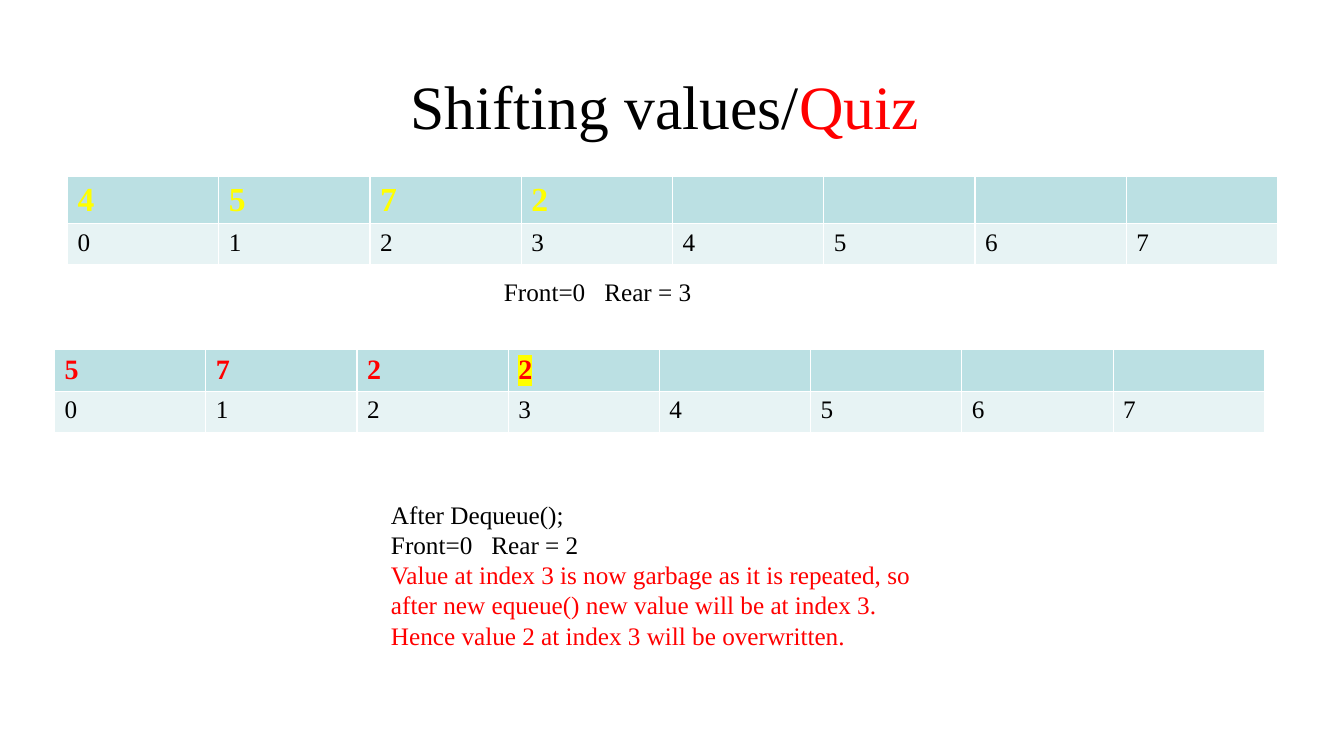
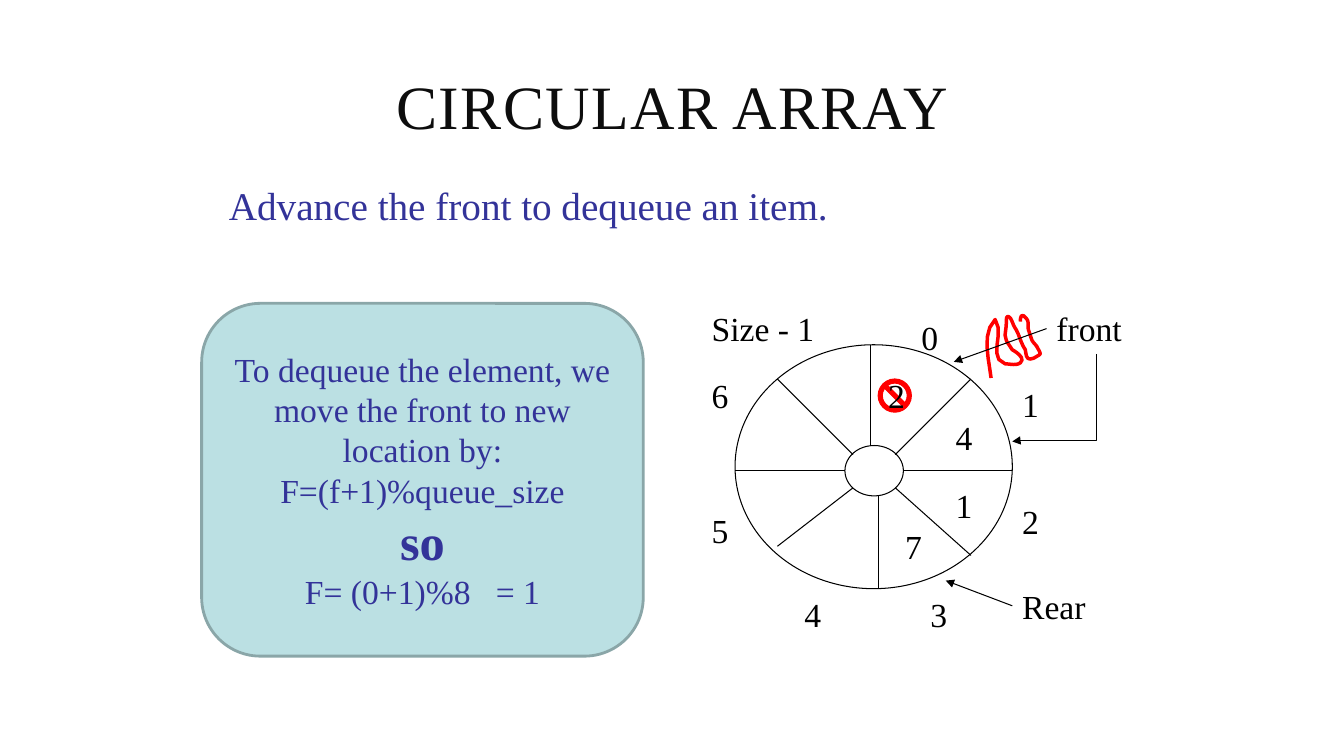
from dataclasses import dataclass

from lxml import etree
from pptx import Presentation
from pptx.dml.color import RGBColor
from pptx.enum.shapes import MSO_CONNECTOR, MSO_SHAPE
from pptx.enum.text import MSO_ANCHOR, MSO_AUTO_SIZE, PP_ALIGN
from pptx.oxml.ns import qn
from pptx.util import Inches, Pt

ELLIPSE, ROUNDED, NO_SIGN = MSO_SHAPE.OVAL, MSO_SHAPE.ROUNDED_RECTANGLE, MSO_SHAPE.NO_SYMBOL
STRAIGHT, ELBOW = MSO_CONNECTOR.STRAIGHT, MSO_CONNECTOR.ELBOW
MIDDLE, LEFT, CENTER = MSO_ANCHOR.MIDDLE, PP_ALIGN.LEFT, PP_ALIGN.CENTER
FIXED, GROW = MSO_AUTO_SIZE.NONE, MSO_AUTO_SIZE.SHAPE_TO_FIT_TEXT
TITLE_AND_BODY, TITLE_ONLY = 1, 5
LEFT_SIDE = 1


@dataclass(frozen=True)
class Theme:
    font: str = "Times New Roman"
    black: str = "000000"
    soft_black: str = "0D0D0D"
    white: str = "FFFFFF"
    red: str = "FF0000"
    yellow: str = "FFFF00"
    indigo: str = "333399"
    teal: str = "BBE0E3"
    pale_teal: str = "E7F3F4"
    teal_edge: str = "8AA6A8"
    title: int = 44
    emphasis: int = 36
    lead: int = 28
    label: int = 24
    value: int = 20
    text: int = 18
    hairline: float = 0.75


THEME = Theme()


@dataclass(frozen=True)
class Line:
    """One paragraph; a tab in its text stands for a wide gap."""
    text: str
    size: int = THEME.text
    color: str = THEME.black
    bold: bool = False


def rgb(color):
    return RGBColor.from_string(color)


def box(*lengths):
    return [Inches(length) for length in lengths]


def set_spacing(run, points):
    run._r.get_or_add_rPr().set("spc", str(round(points * 100)))


def write(frame, lines, align=LEFT):
    for number, line in enumerate(lines):
        paragraph = frame.add_paragraph() if number else frame.paragraphs[0]
        paragraph.alignment = align
        font = paragraph.font
        font.name, font.size, font.bold = THEME.font, Pt(line.size), line.bold
        font.color.rgb = rgb(line.color)
        for position, part in enumerate(line.text.split("\t")):
            if position:
                gap = paragraph.add_run()
                gap.text = " "
                set_spacing(gap, line.size / 2)
            paragraph.add_run().text = part


def bezier(start, first, second, end, steps=6):
    """Points along one cubic curve, without its start."""
    for step in range(1, steps + 1):
        t = step / steps
        weights = ((1 - t) ** 3, 3 * t * (1 - t) ** 2, 3 * t * t * (1 - t), t ** 3)
        yield tuple(sum(w * point[axis] for w, point in zip(weights, (start, first, second, end)))
                    for axis in (0, 1))


class Deck:
    def __init__(self):
        self.presentation = Presentation()
        self.presentation.slide_width, self.presentation.slide_height = box(13.33, 7.5)
        self.slide = None

    def new_slide(self, layout):
        self.slide = self.presentation.slides.add_slide(self.presentation.slide_layouts[layout])

    def fill_placeholder(self, holder, place, line, align=LEFT):
        holder.left, holder.top, holder.width, holder.height = box(*place)
        holder.text_frame.auto_size = FIXED
        write(holder.text_frame, [line], align)
        return holder.text_frame.paragraphs[0]

    def title(self, text, color=THEME.black, accent="", spacing=0):
        holder = self.slide.shapes.title
        holder.text_frame.vertical_anchor = MIDDLE
        paragraph = self.fill_placeholder(holder, (0.67, 0.42, 12, 1.25),
                                          Line(text, THEME.title, color), CENTER)
        if accent:
            run = paragraph.add_run()
            run.text = accent
            run.font.color.rgb = rgb(THEME.red)
        if spacing:
            set_spacing(paragraph.runs[0], spacing)

    def body(self, text, place):
        paragraph = self.fill_placeholder(self.slide.placeholders[1], place,
                                          Line(text, THEME.lead, THEME.indigo))
        properties = paragraph._p.get_or_add_pPr()
        properties.set("marL", str(Inches(0.38)))
        properties.set("indent", str(Inches(-0.38)))
        properties.insert(0, etree.Element(qn("a:buNone")))

    def text(self, place, *lines):
        note = self.slide.shapes.add_textbox(*box(*place))
        note.text_frame.word_wrap = True
        note.text_frame.auto_size = GROW
        write(note.text_frame, lines)
        return note

    def label(self, text, left, top, width=0.33):
        return self.text((left, top, width, 0.5), Line(text, THEME.label))

    def queue_table(self, left, top, values, size, color, marked=None):
        """Array of eight cells: values above, indexes below."""
        table = self.slide.shapes.add_table(2, 8, *box(left, top, 12, 0.82)).table
        for index in range(8):
            value_cell, index_cell = table.cell(0, index), table.cell(1, index)
            for cell, fill in ((value_cell, THEME.teal), (index_cell, THEME.pale_teal)):
                cell.fill.solid()
                cell.fill.fore_color.rgb = rgb(fill)
            write(index_cell.text_frame, [Line(str(index))])
            if index < len(values):
                write(value_cell.text_frame, [Line(values[index], size, color, True)])
            if index == marked:
                run = value_cell.text_frame.paragraphs[0].runs[0]
                highlight = etree.SubElement(run._r.get_or_add_rPr(), qn("a:highlight"))
                etree.SubElement(highlight, qn("a:srgbClr"), val=THEME.yellow)

    def shape(self, kind, place, fill=THEME.white, line=THEME.black, width=THEME.hairline):
        shape = self.slide.shapes.add_shape(kind, *box(*place))
        shape.shadow.inherit = False
        shape.fill.solid()
        shape.fill.fore_color.rgb = rgb(fill)
        shape.line.color.rgb = rgb(line)
        shape.line.width = Pt(width)
        return shape

    def card(self, place, *lines):
        card = self.shape(ROUNDED, place, THEME.teal, THEME.teal_edge, 2)
        card.text_frame.word_wrap = True
        card.text_frame.vertical_anchor = MIDDLE
        write(card.text_frame, lines, CENTER)

    def line(self, start, end, arrow=False, kind=STRAIGHT):
        connector = self.slide.shapes.add_connector(kind, *box(*start, *end))
        connector.line.color.rgb = rgb(THEME.black)
        connector.line.width = Pt(THEME.hairline)
        properties = connector._element.spPr
        if arrow:
            etree.SubElement(properties.find(qn("a:ln")), qn("a:tailEnd"), type="triangle")
        etree.SubElement(properties, qn("a:effectLst"))
        return connector

    def elbow_arrow(self, start, end):
        """Arrow that goes down first, then left: an elbow turned by 90 degrees."""
        across, down = start[0] - end[0], end[1] - start[1]
        middle_x, middle_y = (start[0] + end[0]) / 2, (start[1] + end[1]) / 2
        arrow = self.line((middle_x - down / 2, middle_y - across / 2),
                          (middle_x + down / 2, middle_y + across / 2), True, ELBOW)
        properties = arrow._element.spPr
        properties.find(qn("a:xfrm")).set("rot", str(90 * 60000))
        geometry = properties.find(qn("a:prstGeom"))
        guides = geometry.find(qn("a:avLst"))
        if guides is None:
            guides = etree.SubElement(geometry, qn("a:avLst"))
        etree.SubElement(guides, qn("a:gd"), name="adj1", fmla="val 99000")

    def scribble(self, start, curves):
        points = [start]
        for curve in curves:
            points.extend(bezier(points[-1], *curve))
        first, *rest = [box(*point) for point in points]
        builder = self.slide.shapes.build_freeform(*first)
        builder.add_line_segments(rest, close=False)
        stroke = builder.convert_to_shape()
        stroke.shadow.inherit = False
        stroke.fill.background()
        stroke.line.color.rgb = rgb(THEME.red)
        stroke.line.width = Pt(2.5)


# Spokes of the circular array, from the rim or the hub outward
SPOKES = [
    ((7.29, 4.67), (8.38, 4.67)), ((8.96, 4.67), (10.04, 4.67)),
    ((8.63, 3.42), (8.63, 4.42)), ((8.71, 4.92), (8.71, 5.84)),
    ((8.88, 4.84), (9.63, 5.51)), ((7.71, 3.76), (8.46, 4.51)),
    ((8.88, 4.51), (9.63, 3.76)), ((7.71, 5.42), (8.46, 4.84)),
]
SLOT_INDEXES = [
    ("0", 9.04, 3.09), ("1", 10.04, 3.76), ("2", 10.04, 4.92), ("3", 9.13, 5.84),
    ("4", 7.88, 5.84), ("5", 6.96, 5.01), ("6", 6.96, 3.67),
]
SLOT_VALUES = [("2", 8.71, 3.67), ("4", 9.38, 4.09), ("1", 9.38, 4.76), ("7", 8.88, 5.17)]
# Hand stroke that crosses out the old front: two control points and an end per curve
CROSSING_OUT = [
    ((9.81, 3.57), (9.73, 3.31), (9.87, 3.17)), ((9.97, 3.31), (9.79, 3.55), (9.97, 3.61)),
    ((10.02, 3.61), (10.08, 3.63), (10.12, 3.6)), ((10.18, 3.55), (10.06, 3.48), (10.04, 3.47)),
    ((9.97, 3.36), (9.99, 3.41), (9.97, 3.33)), ((9.97, 3.29), (9.98, 3.26), (9.98, 3.22)),
    ((9.99, 3.19), (9.97, 3.14), (10, 3.14)), ((10.03, 3.15), (10.04, 3.2), (10.06, 3.24)),
    ((10.11, 3.31), (10.12, 3.4), (10.17, 3.47)), ((10.18, 3.54), (10.18, 3.61), (10.31, 3.52)),
    ((10.33, 3.51), (10.3, 3.47), (10.29, 3.45)), ((10.28, 3.42), (10.24, 3.4), (10.23, 3.36)),
    ((10.22, 3.33), (10.2, 3.27), (10.2, 3.27)), ((10.19, 3.23), (10.21, 3.19), (10.18, 3.16)),
    ((10.12, 3.08), (10.12, 3.18), (10.12, 3.19)),
]


def shifting_slide(deck):
    deck.new_slide(TITLE_ONLY)
    deck.title("Shifting values/", accent="Quiz ")
    # Queue before and after the dequeue
    deck.queue_table(0.67, 1.75, "4572", THEME.label, THEME.yellow)
    deck.queue_table(0.54, 3.47, "5722", THEME.value, THEME.red, marked=3)
    deck.text((4.9, 2.69, 3.82, 0.4), Line("Front=0\tRear = 3"))
    deck.text((3.78, 4.9, 5.54, 1.62),
              Line("After Dequeue();"),
              Line("Front=0\tRear = 2"),
              Line("Value at index 3 is now garbage as it is repeated, so after new equeue() "
                   "new value will be at index 3. Hence value 2 at index 3 will be overwritten.",
                   color=THEME.red))


def circular_slide(deck):
    deck.new_slide(TITLE_AND_BODY)
    deck.title("CIRCULAR ARRAY", THEME.soft_black, spacing=1)
    deck.body("Advance the front to dequeue an item.", (2.17, 1.75, 9, 1.01))
    # Wheel with its slot indexes
    deck.shape(ELLIPSE, (7.29, 3.42, 2.75, 2.42))
    deck.shape(ELLIPSE, (8.38, 4.42, 0.58, 0.5))
    for start, end in SPOKES:
        deck.line(start, end)
    for slot in SLOT_INDEXES:
        deck.label(*slot)
    deck.label("Size - 1", 6.96, 3.01, 1.33)
    # Removed item and old front
    deck.scribble((9.83, 3.75), CROSSING_OUT)
    removed = deck.shape(NO_SIGN, (8.71, 3.76, 0.33, 0.33), THEME.red, THEME.red)
    removed.adjustments[0] = 0.125
    for slot in SLOT_VALUES:
        deck.label(*slot)
    # Pointers to front and rear
    deck.elbow_arrow((10.88, 3.51), (10.04, 4.38))
    front = deck.label("front", 10.38, 3.01, 1)
    deck.line((10.38, 3.26), (9.46, 3.59), arrow=True).begin_connect(front, LEFT_SIDE)
    rear = deck.label("Rear", 10.04, 5.76, 1)
    deck.line((10.04, 6.01), (9.38, 5.76), arrow=True).begin_connect(rear, LEFT_SIDE)
    # Rule for moving the front
    deck.card((2, 3.01, 4.38, 3.5),
              Line("To dequeue the element, we move the front to new location by:",
                   THEME.label, THEME.indigo),
              Line("F=(f+1)%queue_size", THEME.label, THEME.indigo),
              Line("so", THEME.emphasis, THEME.indigo, True),
              Line("F= (0+1)%8\t= 1", THEME.label, THEME.indigo))


def main():
    deck = Deck()
    shifting_slide(deck)
    circular_slide(deck)
    deck.presentation.save("out.pptx")


if __name__ == "__main__":
    main()
